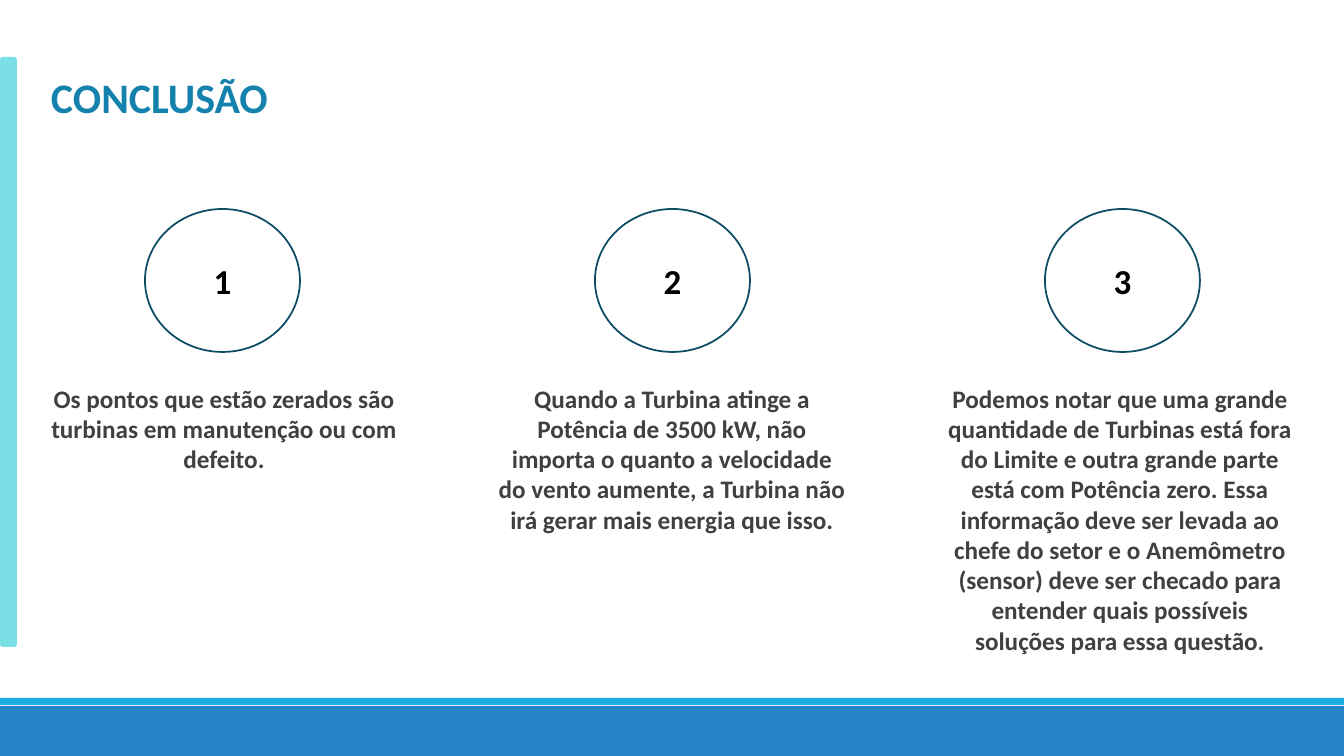
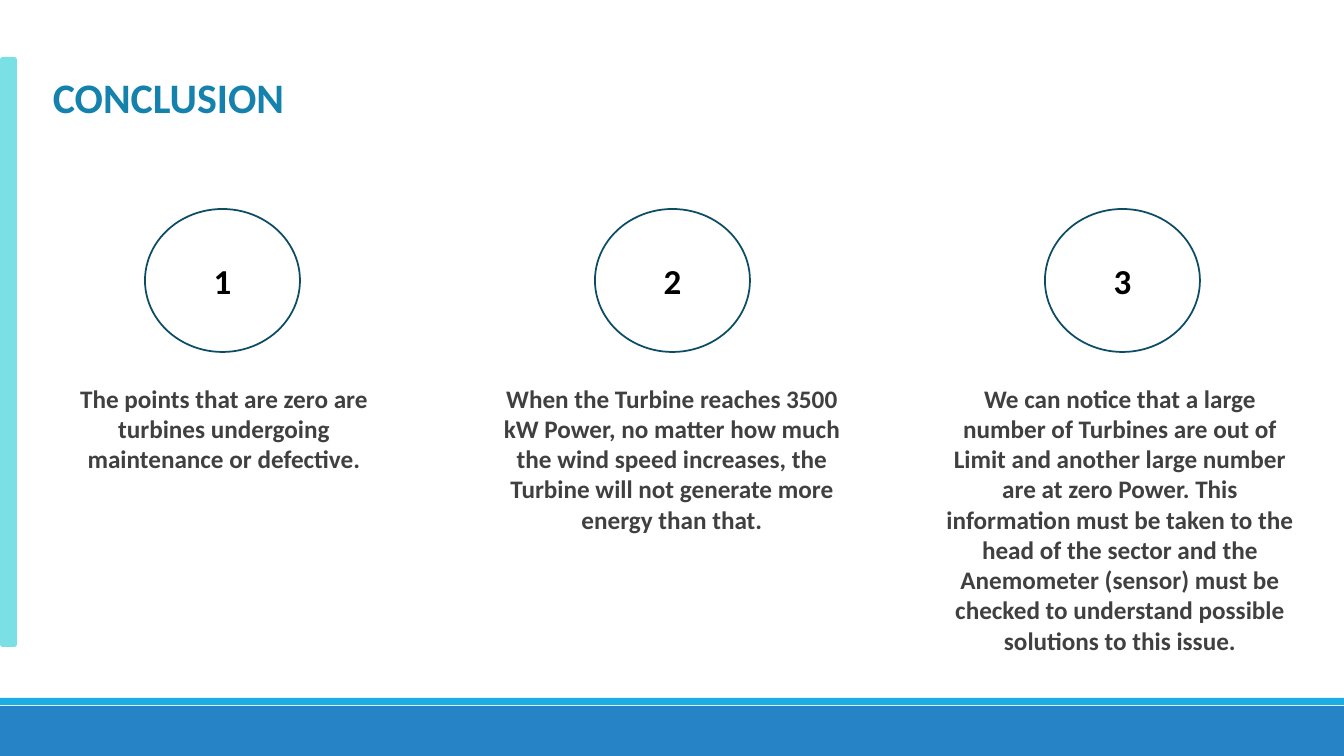
from pptx import Presentation
from pptx.dml.color import RGBColor
from pptx.enum.shapes import MSO_SHAPE as Shape
from pptx.enum.text import MSO_ANCHOR as Anchor, MSO_AUTO_SIZE as AutoSize, PP_ALIGN as Align
from pptx.util import Pt

SLIDE_WIDTH, SLIDE_HEIGHT = 1344, 756
EMU_PER_PX = 12192000 / SLIDE_WIDTH
TITLE_ONLY = 5

COLORS = {
    "footer": "2683C6",
    "footer_edge": "1CADE4",
    "side_bar": "7AE0E5",
    "title": "1482AC",
    "circle_fill": "FFFFFF",
    "circle_line": "0C4C64",
    "number": "000000",
    "body": "404040",
}

# Each slide: title, title width, then (text, text box height) per column
SLIDES = [
    ("CONCLUSÃO", 243, [
        ("Os pontos que estão zerados são turbinas em manutenção ou com defeito.", 132),
        ("Quando a Turbina atinge a Potência de 3500 kW, não importa o quanto a "
         "velocidade do vento aumente, a Turbina não irá gerar mais energia que isso.", 163),
        ("Podemos notar que uma grande quantidade de Turbinas está fora do Limite e "
         "outra grande parte está com Potência zero. Essa informação deve ser levada ao "
         "chefe do setor e o Anemômetro (sensor) deve ser checado para entender quais "
         "possíveis soluções para essa questão.", 315),
    ]),
    ("CONCLUSION", 261, [
        ("The points that are zero are turbines undergoing maintenance or defective.", 102),
        ("When the Turbine reaches 3500 kW Power, no matter how much the wind speed "
         "increases, the Turbine will not generate more energy than that.", 163),
        ("We can notice that a large number of Turbines are out of Limit and another "
         "large number are at zero Power. This information must be taken to the head of "
         "the sector and the Anemometer (sensor) must be checked to understand possible "
         "solutions to this issue.", 285),
    ]),
]


def px(length):
    return round(length * EMU_PER_PX)


def rgb(name):
    return RGBColor.from_string(COLORS[name])


class SlideBuilder:
    """Holds the deck's style and the slide being filled."""

    font = "Calibri"

    def __init__(self, deck):
        self.deck = deck
        self.slide = None

    def start_slide(self):
        """Add a slide with the footer bands and the side bar."""
        self.slide = self.deck.slides.add_slide(self.deck.slide_layouts[TITLE_ONLY])
        self.shape(Shape.RECTANGLE, 0, 706, SLIDE_WIDTH, 50, "footer")
        self.shape(Shape.RECTANGLE, 0, 698, SLIDE_WIDTH, 7, "footer_edge")
        self.shape(Shape.ROUNDED_RECTANGLE, 0, 57, 17, 590, "side_bar")

    def shape(self, kind, left, top, width, height, fill, line=None):
        shape = self.slide.shapes.add_shape(kind, px(left), px(top), px(width), px(height))
        shape.shadow.inherit = False
        shape.fill.solid()
        shape.fill.fore_color.rgb = rgb(fill)
        if line:
            shape.line.color.rgb = rgb(line)
            shape.line.width = Pt(1.25)
        else:
            shape.line.fill.background()
        return shape

    def set_text(self, shape, text, size, color, anchor=Anchor.TOP):
        """Put bold, centred text into a shape."""
        frame = shape.text_frame
        frame.text = text
        frame.word_wrap = True
        frame.vertical_anchor = anchor
        para = frame.paragraphs[0]
        para.alignment = Align.CENTER
        span = para.runs[0]
        span.font.name = self.font
        span.font.size = Pt(size)
        span.font.bold = True
        span.font.color.rgb = rgb(color)

    def title(self, text, width):
        title = self.slide.shapes.title
        title.left, title.top, title.width, title.height = px(38), px(66), px(width), px(61)
        self.set_text(title, text, 30, "title")
        title.text_frame.word_wrap = False
        title.text_frame.auto_size = AutoSize.NONE

    def numbered_circle(self, left, number):
        circle = self.shape(Shape.OVAL, left, 209, 155, 143, "circle_fill", "circle_line")
        self.set_text(circle, str(number), 25, "number", Anchor.MIDDLE)

    def body(self, left, text, height):
        box = self.slide.shapes.add_textbox(px(left), px(378), px(372), px(height))
        self.set_text(box, text, 18, "body")
        box.text_frame.auto_size = AutoSize.SHAPE_TO_FIT_TEXT


def main():
    deck = Presentation()
    deck.slide_width, deck.slide_height = px(SLIDE_WIDTH), px(SLIDE_HEIGHT)
    builder = SlideBuilder(deck)
    for title, title_width, columns in SLIDES:
        builder.start_slide()
        builder.title(title, title_width)
        for index, (text, height) in enumerate(columns):
            builder.numbered_circle(145 + 450 * index, index + 1)
            builder.body(38 + 448 * index, text, height)
    deck.save("out.pptx")


if __name__ == "__main__":
    main()
